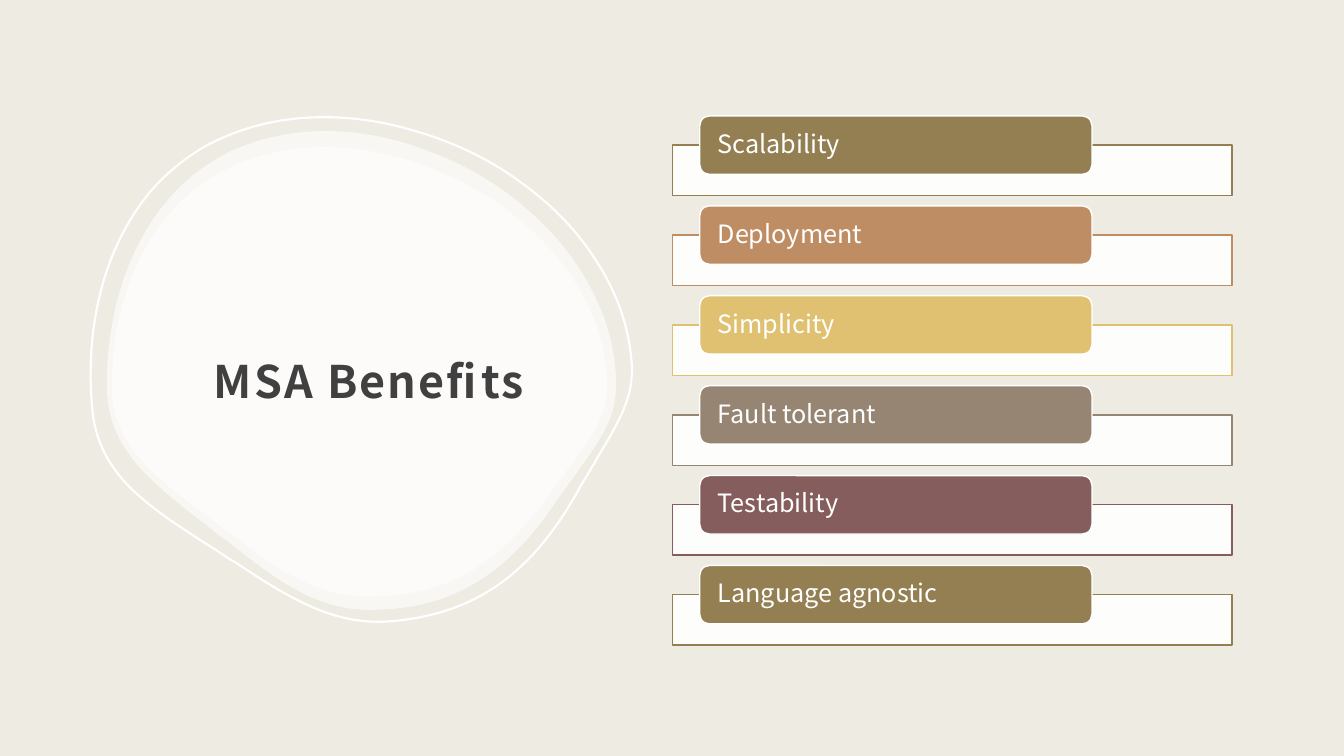
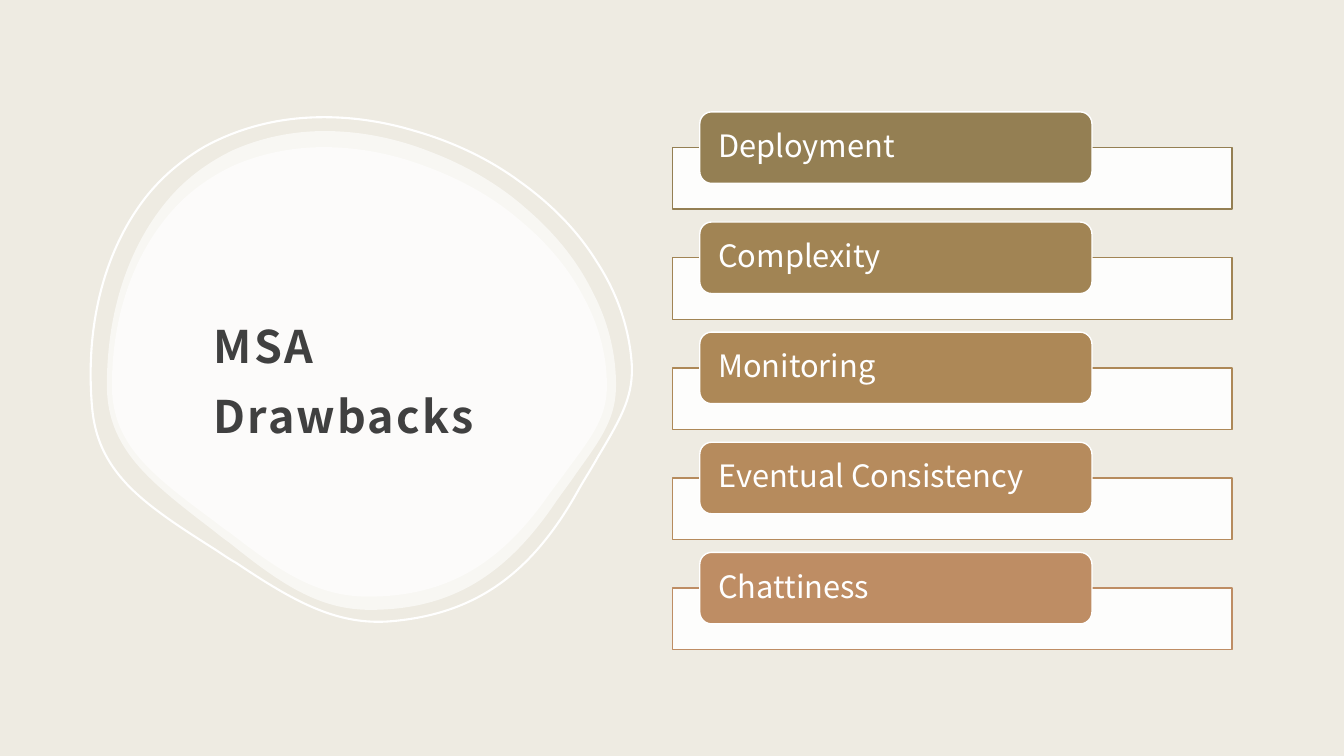
import pptx
import pptx.dml.color
import pptx.enum.shapes
import pptx.enum.text
import pptx.oxml
import pptx.oxml.ns
import pptx.util

Inches = pptx.util.Inches
Pt = pptx.util.Pt
RGBColor = pptx.dml.color.RGBColor
MSO_SHAPE = pptx.enum.shapes.MSO_SHAPE
MSO_ANCHOR = pptx.enum.text.MSO_ANCHOR
PP_ALIGN = pptx.enum.text.PP_ALIGN
qn = pptx.oxml.ns.qn

FONT = "Noto Sans CJK JP"
PAPER = RGBColor(0xEE, 0xEB, 0xE2)
WHITE = RGBColor(0xFF, 0xFF, 0xFF)
INK = RGBColor(0x40, 0x40, 0x40)
OLIVE = RGBColor(0x94, 0x7F, 0x53)
BRONZE = RGBColor(0xA1, 0x84, 0x54)
OCHRE = RGBColor(0xAD, 0x88, 0x57)
CARAMEL = RGBColor(0xB6, 0x8B, 0x5D)
COPPER = RGBColor(0xBE, 0x8D, 0x64)
GOLD = RGBColor(0xE0, 0xC1, 0x71)
TAUPE = RGBColor(0x96, 0x85, 0x72)
PLUM = RGBColor(0x85, 0x5D, 0x5D)

# Pebble outline: a start point, then cubic curves (two controls, one end)
PEBBLE_START = (3.22, 1.3)
PEBBLE_CURVES = [
    ((2.89, 1.3), (2.58, 1.37), (2.31, 1.49)),
    ((2.06, 1.61), (1.83, 1.78), (1.65, 2)),
    ((1.27, 2.46), (1.06, 3.1), (1.06, 3.82)),
    ((1.06, 4.1), (1.14, 4.33), (1.32, 4.56)),
    ((1.51, 4.8), (1.8, 5.02), (2.1, 5.25)),
    ((2.15, 5.29), (2.21, 5.34), (2.27, 5.38)),
    ((2.78, 5.79), (3.16, 6.05), (3.67, 6.05)),
    ((4.45, 6.05), (5.01, 5.73), (5.52, 4.97)),
    ((5.59, 4.87), (5.66, 4.78), (5.72, 4.69)),
    ((5.98, 4.33), (6.11, 4.14), (6.11, 3.82)),
    ((6.11, 3.5), (6.03, 3.18), (5.87, 2.88)),
    ((5.72, 2.58), (5.5, 2.31), (5.22, 2.07)),
    ((4.95, 1.83), (4.62, 1.64), (4.28, 1.51)),
    ((3.93, 1.37), (3.57, 1.3), (3.22, 1.3)),
]
pebble_points = [
    (Inches(x), Inches(y)) for curve in PEBBLE_CURVES for x, y in curve
]

# Frame (left, top, width, height), rotation, and whether it is only a ring
PEBBLES = [
    ((1.06, 1.3, 5.05, 4.75), 0, False),
    ((1.11, 1.46, 4.91, 4.46), 0, False),
    ((0.89, 1.13, 5.37, 5.05), 355, True),
]

BAR_LEFT, BAR_WIDTH = 6.67, 5.55
LABEL_LEFT, LABEL_WIDTH = 6.94, 3.89

SLIDES = [
    {
        "title": "MSA Benefits",
        "first_top": 1.15, "last_top": 5.61,
        "label_height": 0.58, "bar_height": 0.5, "size": 18,
        "rows": [
            ("Scalability", OLIVE),
            ("Deployment", COPPER),
            ("Simplicity", GOLD),
            ("Fault tolerant", TAUPE),
            ("Testability", PLUM),
            ("Language agnostic", OLIVE),
        ],
    },
    {
        "title": "MSA Drawbacks",
        "first_top": 1.11, "last_top": 5.48,
        "label_height": 0.71, "bar_height": 0.61, "size": 22,
        "rows": [
            ("Deployment", OLIVE),
            ("Complexity", BRONZE),
            ("Monitoring", OCHRE),
            ("Eventual Consistency", CARAMEL),
            ("Chattiness", COPPER),
        ],
    },
]


def paint(shape, fill, line, line_width=1, opacity=100):
    """Set fill and line; None leaves either one out."""
    shape.shadow.inherit = False
    if fill is None:
        shape.fill.background()
    else:
        shape.fill.solid()
        shape.fill.fore_color.rgb = fill
        if opacity < 100:
            color = shape.element.spPr.find(".//" + qn("a:srgbClr"))
            color.append(color.makeelement(qn("a:alpha"), {"val": str(opacity * 1000)}))
    if line is None:
        shape.line.fill.background()
    else:
        shape.line.color.rgb = line
        shape.line.width = Pt(line_width)


def write(shape, text, margins, spacing, size, color, bold=False):
    """Fill the shape with one left-aligned, vertically centred paragraph."""
    frame = shape.text_frame
    frame.word_wrap = True
    frame.auto_size = pptx.enum.text.MSO_AUTO_SIZE.NONE
    frame.vertical_anchor = MSO_ANCHOR.MIDDLE
    for side, margin in zip(("left", "top", "right", "bottom"), margins):
        setattr(frame, "margin_" + side, Inches(margin))
    paragraph = frame.paragraphs[0]
    paragraph.alignment = PP_ALIGN.LEFT
    paragraph.line_spacing = spacing
    run = paragraph.add_run()
    run.text = text
    run.font.color.rgb = color
    for name, value in {"name": FONT, "size": Pt(size), "bold": bold}.items():
        setattr(run.font, name, value)
    return run


prs = pptx.Presentation()
prs.slide_width = Inches(13.33)
prs.slide_height = Inches(7.5)
background = prs.slide_master.background.fill
background.solid()
background.fore_color.rgb = PAPER
title_only = prs.slide_layouts[5]

for content in SLIDES:
    slide = prs.slides.add_slide(title_only)
    shapes = slide.shapes

    for frame, rotation, is_ring in PEBBLES:
        builder = shapes.build_freeform(*map(Inches, PEBBLE_START))
        builder.add_line_segments(pebble_points, close=True)
        pebble = builder.convert_to_shape()
        # Every three line segments become one cubic curve
        segments = pebble.element.findall(".//" + qn("a:lnTo"))
        for first in range(0, len(segments), 3):
            curve = segments[first].makeelement(qn("a:cubicBezTo"), {})
            segments[first].addprevious(curve)
            for segment in segments[first:first + 3]:
                curve.append(segment[0])
                segment.getparent().remove(segment)
        pebble.left, pebble.top, pebble.width, pebble.height = map(Inches, frame)
        pebble.rotation = rotation
        if is_ring:
            paint(pebble, None, WHITE, line_width=1.5)
        else:
            paint(pebble, WHITE, None, opacity=60)

    title = shapes.title
    pebble.element.addnext(title.element)  # bring the title in front of the pebbles
    title.left, title.top, title.width, title.height = map(Inches, (2, 2.08, 3.62, 3.21))
    heading = write(title, content["title"], (0.12, 0.12, 0.12, 0.1), 1.3, 32, INK, bold=True)
    heading.font._element.set("spc", "150")

    label_height = content["label_height"]
    pitch = (content["last_top"] - content["first_top"]) / (len(content["rows"]) - 1)
    for index, (text, color) in enumerate(content["rows"]):
        top = content["first_top"] + index * pitch
        bar = shapes.add_shape(
            MSO_SHAPE.RECTANGLE, Inches(BAR_LEFT), Inches(top + label_height / 2),
            Inches(BAR_WIDTH), Inches(content["bar_height"]))
        paint(bar, WHITE, color, opacity=90)
        label = shapes.add_shape(
            MSO_SHAPE.ROUNDED_RECTANGLE, Inches(LABEL_LEFT), Inches(top),
            Inches(LABEL_WIDTH), Inches(label_height))
        paint(label, color, WHITE)
        write(label, text, (0.15, 0, 0.15, 0), 0.9, content["size"], WHITE)

prs.save("out.pptx")
